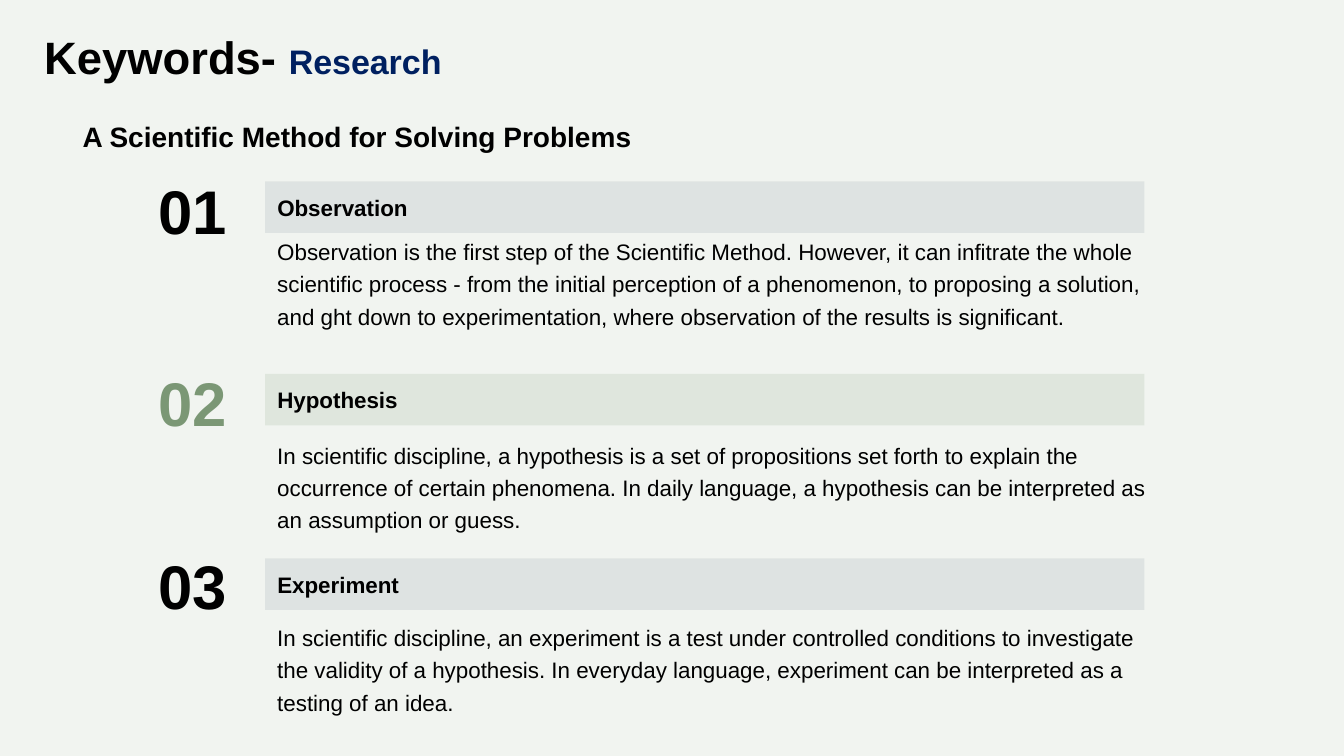
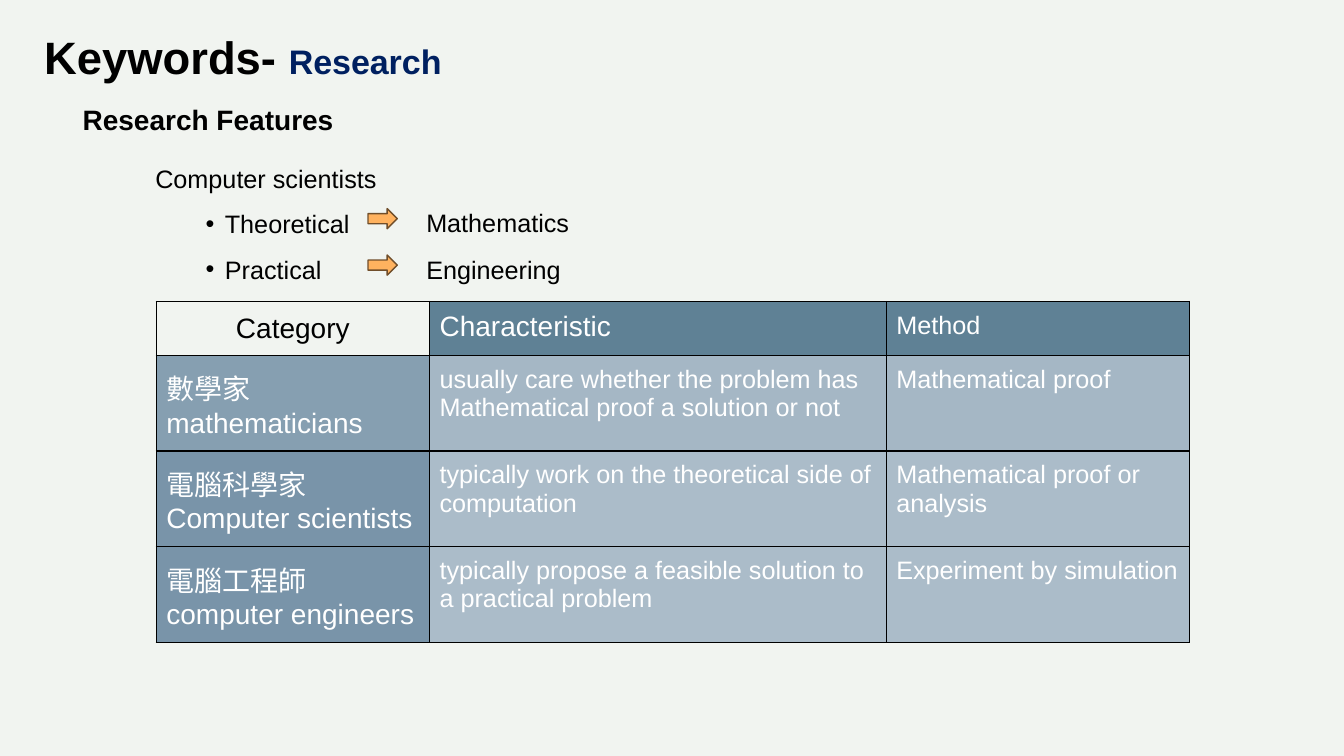
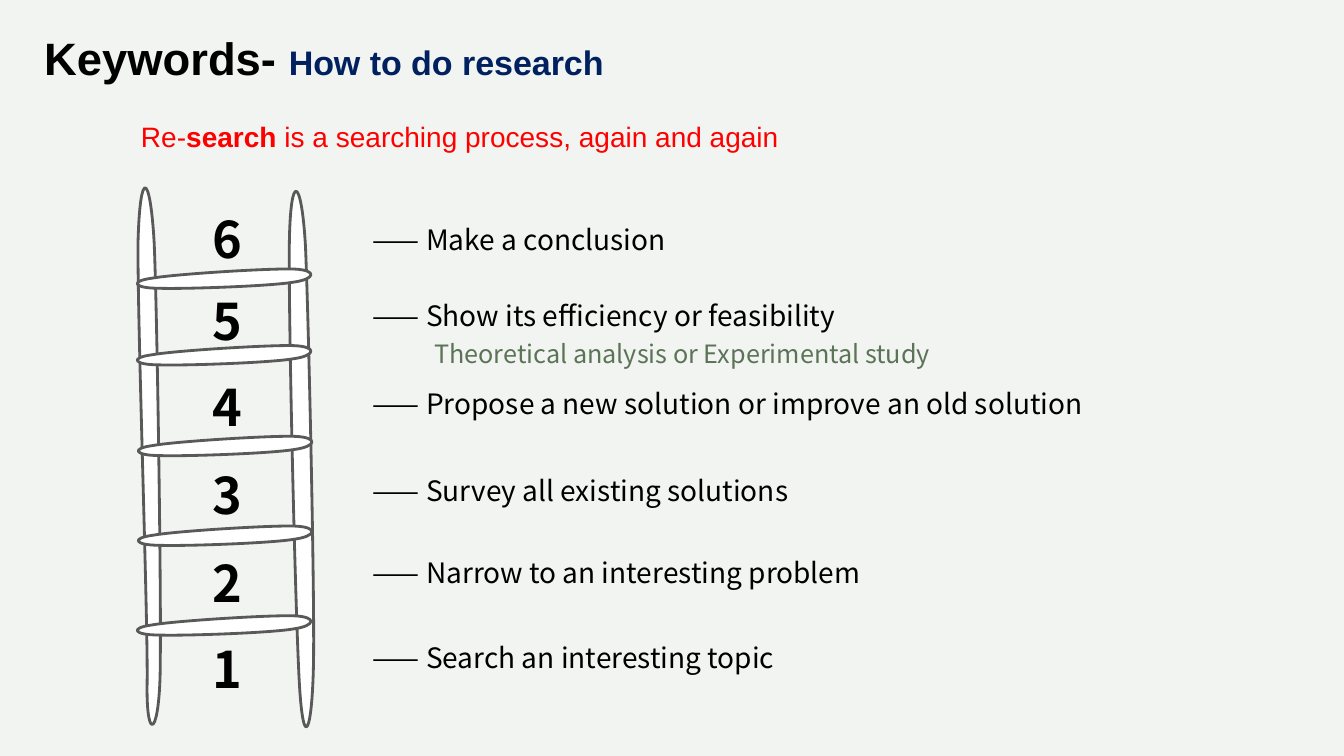
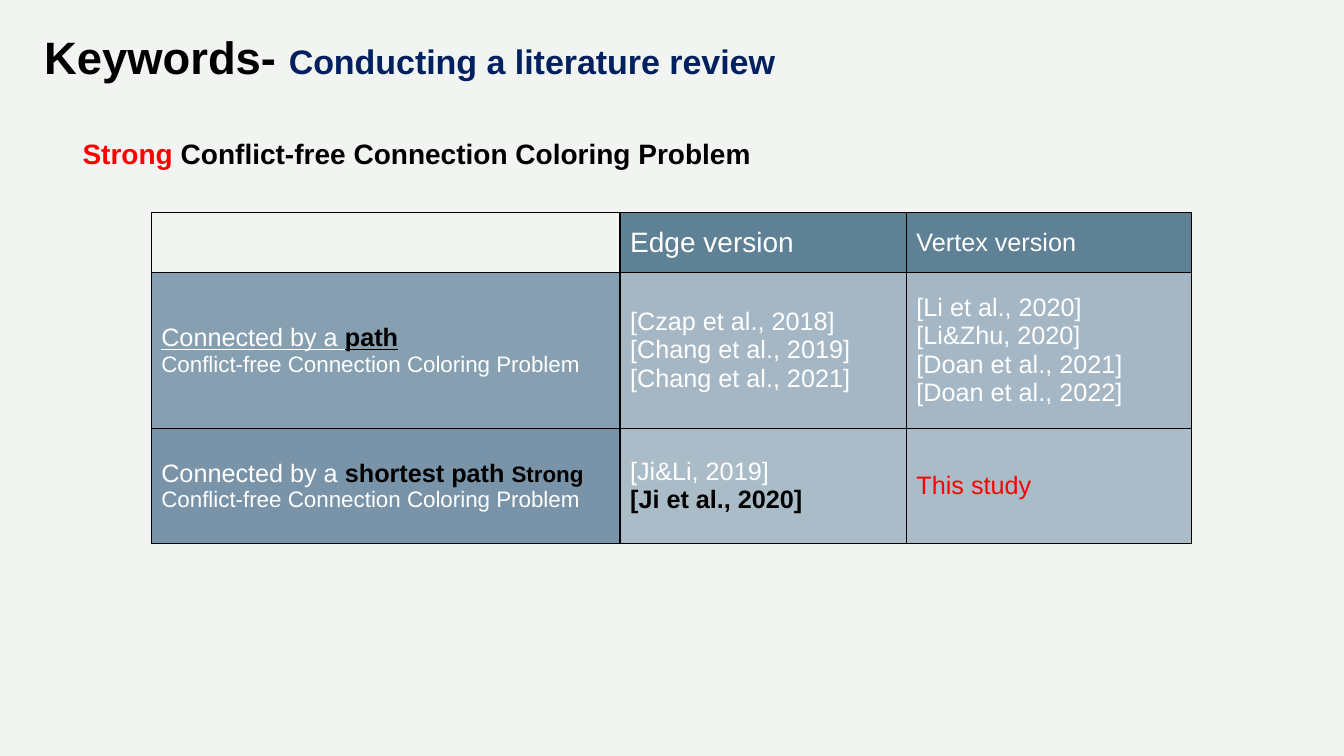
from dataclasses import dataclass

from lxml.etree import SubElement
from pptx import Presentation
from pptx.dml.color import RGBColor
from pptx.enum.shapes import MSO_SHAPE
from pptx.enum.text import MSO_ANCHOR, MSO_AUTO_SIZE, PP_ALIGN
from pptx.oxml import parse_xml
from pptx.oxml.ns import nsdecls, qn
from pptx.util import Pt

PX = 9144  # one hundred px to the inch
WIDTH, HEIGHT = 1333, 750
TITLE_ONLY, TITLE_AND_CONTENT = 5, 1


@dataclass(frozen=True)
class Theme:
    font: str = "Arial"
    ladder_font: str = "Noto Sans CJK JP"
    dash_font: str = "Noto Sans CJK SC"
    ink: str = "000000"
    white: str = "FFFFFF"
    navy: str = "002060"
    red: str = "FF0000"
    sage: str = "7B9775"
    moss: str = "5B7356"
    slate: str = "778495"
    outline: str = "595959"
    arrow: str = "FFB25F"
    arrow_line: str = "704E2A"
    table_head: str = "5F8195"
    table_rows: tuple = (("869FB1", "A5B7C5"), ("7994A9", "ABBCC9"))
    title: float = 32.4
    topic: float = 24.3
    numeral: int = 44
    rung: int = 36
    heading: int = 20
    body: int = 18
    small: int = 16


THEME = Theme()

# Text is a list of paragraphs; a paragraph is a string or a list of spans;
# a span is a string or a (string, format) pair.
# number, name, number top, bar top, text top, number colour, bar colour, text
STEPS = [
    ("01", "Observation", 159, 180, 219, THEME.ink, THEME.slate,
     "Observation is the first step of the Scientific Method. However, it can infitrate the whole "
     "scientific process - from the initial perception of a phenomenon, to proposing a solution, "
     "and ght down to experimentation, where observation of the results is significant."),
    ("02", "Hypothesis", 349, 371, 421, THEME.sage, THEME.sage,
     "In scientific discipline, a hypothesis is a set of propositions set forth to explain the "
     "occurrence of certain phenomena. In daily language, a hypothesis can be interpreted as "
     "an assumption or guess."),
    ("03", "Experiment", 531, 554, 602, THEME.ink, THEME.slate,
     "In scientific discipline, an experiment is a test under controlled conditions to investigate "
     "the validity of a hypothesis. In everyday language, experiment can be interpreted as a "
     "testing of an idea."),
]

SCIENTISTS = [("Theoretical", "Mathematics"), ("Practical", "Engineering")]

LARGE = {"size": THEME.heading}
SMALL = {"size": THEME.small}
STRONG = {"color": THEME.ink, "bold": True}
UNDERLINED = {"underline": True}

FEATURES = [
    [[[("Category", {"size": THEME.heading, "color": THEME.ink})]],
     [[("Characteristic", LARGE)]], ["Method"]],
    [[[("數學家", LARGE)], [("mathematicians", LARGE)]],
     ["usually care whether the problem has Mathematical proof a solution or not"],
     ["Mathematical proof"]],
    [[[("電腦科學家", LARGE)], [("Computer scientists", LARGE)]],
     ["typically work on the theoretical side of computation"],
     ["Mathematical proof or analysis"]],
    [[[("電腦工程師", LARGE)], [("computer engineers", LARGE)]],
     ["typically propose a feasible solution to a practical problem"],
     ["Experiment by simulation"]],
]

PROBLEM = "Conflict-free Connection Coloring Problem"
LITERATURE = [
    [[], [[("Edge version", LARGE)]], ["Vertex version"]],
    [[[("Connected by a ", UNDERLINED), ("path", STRONG | UNDERLINED)], [(PROBLEM, SMALL)]],
     ["[Czap et al., 2018]", "[Chang et al., 2019]", "[Chang et al., 2021]"],
     ["[Li et al., 2020]", "[Li&Zhu, 2020]", "[Doan et al., 2021]", "[Doan et al., 2022]"]],
    [[["Connected by a ", ("shortest path ", STRONG), ("Strong ", STRONG | SMALL),
       (PROBLEM, SMALL)]],
     ["[Ji&Li, 2019]", [("[Ji et al., 2020]", STRONG)]],
     [[("This study", {"color": THEME.red})]]],
]

# number, number top, line top, line width, line, detail
LADDER_STEPS = [
    ("6", 202, 216, 815, "Make a conclusion", None),
    ("5", 283, 285, 716, "Show its efficiency or feasibility",
     "Theoretical analysis or Experimental study"),
    ("4", 368, 379, 815, "Propose a new solution or improve an old solution", None),
    ("3", 455, 465, 716, "Survey all existing solutions", None),
    ("2", 543, 546, 716, "Narrow to an interesting problem", None),
    ("1", 628, 631, 716, "Search an interesting topic", None),
]

# Start point, then three points for each Bézier curve
RAILS = [
    [(137, 239), (136, 311), (147, 616), (146, 678), (145, 740), (159, 730), (159, 657),
     (160, 585), (156, 311), (153, 241), (149, 171), (139, 166), (137, 239)],
    [(287, 242), (286, 314), (293, 610), (297, 679), (301, 748), (310, 727), (311, 654),
     (312, 582), (306, 313), (303, 244), (299, 175), (288, 169), (287, 242)],
]
RUNG = [(292, 0), (268, -1), (173, 5), (151, 9), (128, 12), (133, 19), (157, 19),
        (180, 20), (268, 17), (291, 13), (313, 10), (315, 1), (292, 0)]
RUNG_PLACES = [(0, 611), (1, 522), (1, 433), (0, 343), (0, 267)]


def emu(*lengths):
    return [round(length * PX) for length in lengths]


def rgb(color):
    return RGBColor.from_string(color)


def write(frame, paragraphs, *, align=PP_ALIGN.LEFT, spacing=1.0, indent=0, **style):
    """Fill a text frame; style is size, color, font, bold and underline for every span."""
    for index, content in enumerate(paragraphs):
        para = frame.paragraphs[0] if index == 0 else frame.add_paragraph()
        para.alignment, para.line_spacing, para.space_before = align, spacing, Pt(0)
        if indent and index:
            para._p.get_or_add_pPr().set("marL", str(emu(indent)[0]))
        for span in [content] if isinstance(content, str) else content:
            text, override = (span, {}) if isinstance(span, str) else span
            look = {"size": THEME.body, "color": THEME.ink, "font": THEME.font,
                    "bold": False, "underline": False} | style | override
            run = para.add_run()
            run.text = text
            run.font.name, run.font.size = look["font"], Pt(look["size"])
            run.font.bold, run.font.underline = look["bold"], look["underline"]
            run.font.color.rgb = rgb(look["color"])


def set_frame(frame, *, inset=(10, 5), anchor=MSO_ANCHOR.TOP, wrap=True, grow=False):
    frame.word_wrap, frame.vertical_anchor = wrap, anchor
    frame.auto_size = MSO_AUTO_SIZE.SHAPE_TO_FIT_TEXT if grow else MSO_AUTO_SIZE.NONE
    frame.margin_left = frame.margin_right = emu(inset[0])[0]
    frame.margin_top = frame.margin_bottom = emu(inset[1])[0]


def add_text(page, place, paragraphs, *, inset=(10, 5), anchor=MSO_ANCHOR.TOP, wrap=True,
             **style):
    box = page.shapes.add_textbox(*emu(*place))
    set_frame(box.text_frame, inset=inset, anchor=anchor, wrap=wrap, grow=True)
    write(box.text_frame, paragraphs, **style)


def paint(shape, fill, line=None, weight=1, opacity=None):
    shape.shadow.inherit = False
    shape.fill.solid()
    shape.fill.fore_color.rgb = rgb(fill)
    if opacity:
        color = shape._element.spPr.find(qn("a:solidFill"))[0]
        SubElement(color, qn("a:alpha")).set("val", str(opacity * 1000))
    if line:
        shape.line.color.rgb, shape.line.width = rgb(line), Pt(weight)
    else:
        shape.line.fill.background()


def curve_bounds(points, samples=16):
    """Return left, top, right and bottom of a chain of cubic Bézier curves."""
    outline = []
    for first in range(0, len(points) - 1, 3):
        curve = points[first:first + 4]
        for step in range(samples + 1):
            t = step / samples
            weights = ((1 - t) ** 3, 3 * t * (1 - t) ** 2, 3 * t * t * (1 - t), t ** 3)
            outline.append([sum(w * p[axis] for w, p in zip(weights, curve))
                            for axis in (0, 1)])
    across, down = zip(*outline)
    return min(across), min(down), max(across), max(down)


def add_curved_outline(page, points, dx=0, dy=0):
    """Frame the outline with a freeform, then give its path real curves."""
    points = [(x + dx, y + dy) for x, y in points]
    left, top, right, bottom = emu(*curve_bounds(points))
    builder = page.shapes.build_freeform(left, top)
    builder.add_line_segments([(right, top), (right, bottom), (left, bottom)], close=True)
    shape = builder.convert_to_shape()
    outline = shape._element.spPr.find(".//" + qn("a:path"))
    for segment in list(outline):
        outline.remove(segment)
    groups = [("a:moveTo", points[:1])]
    groups += [("a:cubicBezTo", points[i:i + 3]) for i in range(1, len(points), 3)]
    for tag, group in groups:
        segment = SubElement(outline, qn(tag))
        for point in group:
            x, y = emu(*point)
            node = SubElement(segment, qn("a:pt"))
            node.set("x", str(x - left))
            node.set("y", str(y - top))
    SubElement(outline, qn("a:close"))
    paint(shape, THEME.white, THEME.outline, 2)


def add_grid(page, left, top, widths, heights, rows, body_anchor):
    """Add a bordered table with a dark head row, a shaded first column and a clear corner."""
    place = emu(left, top, sum(widths), sum(heights))
    table = page.shapes.add_table(len(rows), len(widths), *place).table
    table.first_row = table.horz_banding = False
    for column, width in zip(table.columns, emu(*widths)):
        column.width = width
    for row, height in zip(table.rows, emu(*heights)):
        row.height = height
    for r, row in enumerate(rows):
        for c, paragraphs in enumerate(row):
            cell = table.cell(r, c)
            cell.margin_left = cell.margin_right = emu(10)[0]
            cell.margin_top = cell.margin_bottom = emu(10)[0]
            cell.vertical_anchor = body_anchor if c else MSO_ANCHOR.MIDDLE
            corner = r == c == 0
            if corner:
                cell.fill.background()
            else:
                shades = THEME.table_rows[min(r, 2) - 1]
                cell.fill.solid()
                cell.fill.fore_color.rgb = rgb(shades[min(c, 1)] if r else THEME.table_head)
            add_borders(cell)
            write(cell.text_frame, paragraphs, color=THEME.white,
                  align=PP_ALIGN.CENTER if corner else PP_ALIGN.LEFT)


def add_borders(cell):
    properties = cell._tc.get_or_add_tcPr()
    for index, side in enumerate(("lnL", "lnR", "lnT", "lnB")):
        properties.insert(index, parse_xml(
            f'<a:{side} {nsdecls("a")} w="12700"><a:solidFill><a:srgbClr val="{THEME.ink}"/>'
            f'</a:solidFill></a:{side}>'))


def set_bullet(para, char=None, left=0, hanging=0):
    properties = para._p.get_or_add_pPr()
    properties.set("marL", str(emu(left)[0]))
    properties.set("indent", str(emu(-hanging)[0]))
    if char:
        SubElement(properties, qn("a:buChar")).set("char", char)
    else:
        SubElement(properties, qn("a:buNone"))


def place_shape(shape, place):
    shape.left, shape.top, shape.width, shape.height = emu(*place)


def start_deck():
    deck = Presentation()
    deck.slide_width, deck.slide_height = emu(WIDTH, HEIGHT)
    title = deck.slide_master.placeholders[0]
    place_shape(title, (34, 29, 1188, 60))
    set_frame(title.text_frame, anchor=MSO_ANCHOR.BOTTOM)
    return deck


def tint_master(deck):
    """Put a translucent full-page panel behind everything on the master."""
    panel = deck.slides[0].shapes.add_shape(MSO_SHAPE.RECTANGLE, *emu(0, 0, WIDTH, HEIGHT))
    paint(panel, THEME.sage, opacity=10)
    deck.slide_master.shapes._spTree.insert(2, panel._element)


def add_page(deck, topic, layout=TITLE_ONLY, spacing=0.9):
    page = deck.slides.add_slide(deck.slide_layouts[layout])
    frame = page.shapes.title.text_frame
    set_frame(frame, anchor=MSO_ANCHOR.BOTTOM)
    write(frame, [["Keywords- ", (topic, {"size": THEME.topic, "color": THEME.navy})]],
          size=THEME.title, bold=True, spacing=spacing)
    return page


def add_subtitle(page, paragraph, height, spacing):
    add_text(page, (72, 97, 1075, height), [paragraph], size=THEME.heading, bold=True,
             spacing=spacing)


def add_method_page(deck):
    page = add_page(deck, "Research")
    add_subtitle(page, "A Scientific Method for Solving Problems", 54, 1.5)
    for number, name, number_top, bar_top, text_top, number_color, bar_color, text in STEPS:
        add_text(page, (145, number_top, 93, 98), [number], inset=(12, 12), wrap=False,
                 anchor=MSO_ANCHOR.BOTTOM, size=THEME.numeral, bold=True, color=number_color)
        bar = page.shapes.add_shape(MSO_SHAPE.RECTANGLE, *emu(263, bar_top, 872, 51))
        paint(bar, bar_color, opacity=15)
        set_frame(bar.text_frame, inset=(12, 12), anchor=MSO_ANCHOR.BOTTOM)
        write(bar.text_frame, [name], size=THEME.small, bold=True)
        add_text(page, (263, text_top, 906, 118), [text], inset=(12, 12),
                 size=THEME.small, spacing=1.2)


def add_features_page(deck):
    page = add_page(deck, "Research", TITLE_AND_CONTENT)
    add_subtitle(page, "Research Features", 44, 1.0)
    add_grid(page, 155, 299, (271, 453, 301), (52, 95, 95, 95), FEATURES, MSO_ANCHOR.TOP)

    body = page.placeholders[1]
    place_shape(body, (144, 157, 667, 126))
    set_frame(body.text_frame)
    write(body.text_frame, ["Computer scientists"] + [kind for kind, _ in SCIENTISTS])
    heading, *kinds = body.text_frame.paragraphs
    set_bullet(heading)
    for para in kinds:
        para.level, para.line_spacing = 1, 1.5
        set_bullet(para, "•", left=69, hanging=19)

    for index, (_, field) in enumerate(SCIENTISTS):
        top = 207 + 46 * index
        arrow = page.shapes.add_shape(MSO_SHAPE.RIGHT_ARROW, *emu(365, top, 29, 20))
        paint(arrow, THEME.arrow, THEME.arrow_line)
        add_text(page, (413, top - 6, 300, 40), [field])


def add_ladder_page(deck):
    page = add_page(deck, "How to do research", spacing=1.0)
    for rail in RAILS:
        add_curved_outline(page, rail)
    for shift, top in RUNG_PLACES:
        add_curved_outline(page, RUNG, dx=shift, dy=top)
    for number, number_top, line_top, width, line, detail in LADDER_STEPS:
        add_text(page, (201, number_top, 62, 71), [number], font=THEME.ladder_font,
                 size=THEME.rung, bold=True)
        paragraphs = [[("—— ", {"font": THEME.dash_font}), line]]
        if detail:
            paragraphs.append([(detail, {"size": THEME.body, "color": THEME.moss})])
        add_text(page, (360, line_top, width, 84 if detail else 44), paragraphs,
                 font=THEME.ladder_font, size=THEME.heading, indent=61,
                 spacing=1.2 if detail else 1.0)
    add_text(page, (130, 114, 667, 44),
             [["Re-", ("search", {"bold": True}), " is a searching process, again and again"]],
             size=THEME.heading, color=THEME.red)


def add_literature_page(deck):
    page = add_page(deck, "Conducting a literature review")
    add_subtitle(page, [("Strong", {"color": THEME.red}), " " + PROBLEM], 67, 2.0)
    add_grid(page, 150, 211, (465, 284, 283), (59, 155, 114), LITERATURE, MSO_ANCHOR.MIDDLE)


def main():
    deck = start_deck()
    add_method_page(deck)
    add_features_page(deck)
    add_ladder_page(deck)
    add_literature_page(deck)
    tint_master(deck)
    deck.save("out.pptx")


if __name__ == "__main__":
    main()
